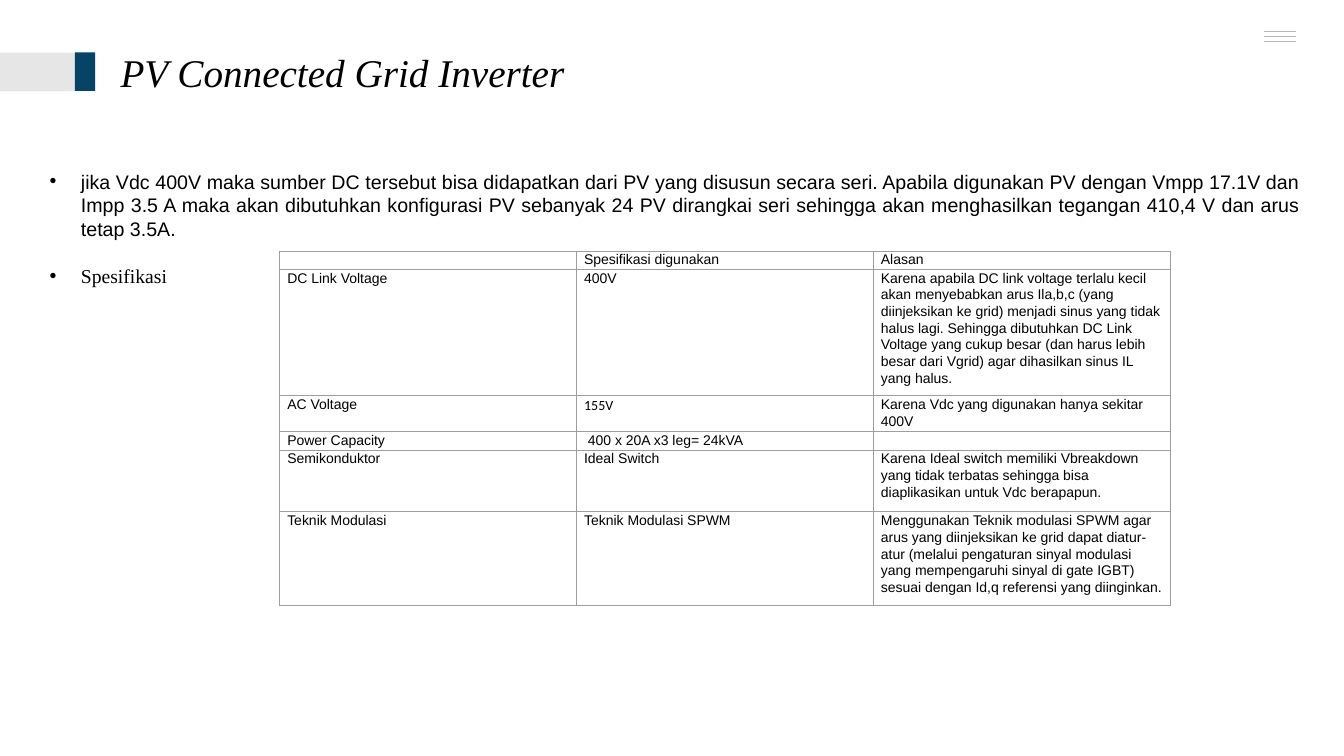
from lxml.etree import SubElement as Sub
from pptx import Presentation
from pptx.dml.color import RGBColor as Rgb
from pptx.enum.shapes import MSO_CONNECTOR as Link, MSO_SHAPE as Form
from pptx.enum.text import MSO_ANCHOR as Anchor, PP_ALIGN as Align
from pptx.oxml.ns import qn
from pptx.util import Cm, Pt

HUES = {"text": "000000", "grey": "E7E6E6", "navy": "074364",
        "menu": "B7B7B7", "edge": "9E9E9E"}
SERIF, SANS = "Times New Roman", "Arial"

INTRO = ("jika Vdc 400V maka sumber DC tersebut bisa didapatkan dari PV yang "
         "disusun secara seri. Apabila digunakan PV dengan Vmpp 17.1V dan "
         "Impp 3.5 A maka akan dibutuhkan konfigurasi PV sebanyak 24 PV "
         "dirangkai seri sehingga akan menghasilkan tegangan 410,4 V dan arus "
         "tetap 3.5A.")

# Row height in cm, then the three cells
ROWS = [
    (0.46, "", "Spesifikasi digunakan", "Alasan"),
    (3.18, "DC Link Voltage", "400V",
     "Karena apabila DC link voltage terlalu kecil akan menyebabkan arus "
     "Ila,b,c (yang diinjeksikan ke grid) menjadi sinus yang tidak halus lagi. "
     "Sehingga dibutuhkan DC Link Voltage yang cukup besar (dan harus lebih "
     "besar dari Vgrid) agar dihasilkan sinus IL yang halus."),
    (0.91, "AC Voltage", "155V",
     "Karena Vdc yang digunakan hanya sekitar 400V"),
    (0.46, "Power Capacity", " 400 x 20A x3 leg= 24kVA", ""),
    (1.56, "Semikonduktor", "Ideal Switch",
     "Karena Ideal switch memiliki Vbreakdown yang tidak terbatas sehingga "
     "bisa diaplikasikan untuk Vdc berapapun."),
    (2.36, "Teknik Modulasi", "Teknik Modulasi SPWM",
     "Menggunakan Teknik modulasi SPWM agar arus yang diinjeksikan ke grid "
     "dapat diatur-atur (melalui pengaturan sinyal modulasi yang mempengaruhi "
     "sinyal di gate IGBT) sesuai dengan Id,q referensi yang diinginkan."),
]


def apply(item, form):
    for name, value in form.items():
        setattr(item, name, value)


def pads(side, top):
    return {"margin_left": Cm(side), "margin_right": Cm(side),
            "margin_top": Cm(top), "margin_bottom": Cm(top)}


class Deck:
    def __init__(self):
        self.show = Presentation()
        apply(self.show, {"slide_width": Cm(33.87), "slide_height": Cm(19.05)})
        self.slide = self.show.slides.add_slide(self.show.slide_layouts[6])
        self.shapes = self.slide.shapes

    def line(self, x1, y1, x2, y2, hue):
        link = self.shapes.add_connector(
            Link.STRAIGHT, Cm(x1), Cm(y1), Cm(x2), Cm(y2))
        link.line.color.rgb = Rgb.from_string(HUES[hue])
        link.line.width = Pt(0.75)
        Sub(link._element.spPr, qn("a:effectLst"))

    def block(self, x, y, wide, high, hue):
        box = self.shapes.add_shape(
            Form.RECTANGLE, Cm(x), Cm(y), Cm(wide), Cm(high))
        box.shadow.inherit = False
        box.fill.solid()
        box.fill.fore_color.rgb = Rgb.from_string(HUES[hue])
        box.line.fill.background()

    def frame(self, x, y, wide, high, pad, anchor):
        frame = self.shapes.add_textbox(
            Cm(x), Cm(y), Cm(wide), Cm(high)).text_frame
        apply(frame, {"word_wrap": True, "vertical_anchor": anchor,
                      **pads(pad, pad)})
        return frame

    def label(self, para, text, font, size, **form):
        run = para.add_run()
        run.text = text
        apply(run.font, {"name": font, "size": Pt(size), **form})
        run.font.color.rgb = Rgb.from_string(HUES["text"])

    def bullet(self, para, text, font, **form):
        props = para._p.get_or_add_pPr()
        props.set("marL", str(Cm(0.94)))
        props.set("indent", str(-Cm(0.79)))
        Sub(props, qn("a:buFont"), typeface=SANS)
        Sub(props, qn("a:buChar"), char="•")
        apply(para, {"alignment": Align.JUSTIFY, **form})
        self.label(para, text, font, 14)

    def cell(self, cell, text):
        props = cell._tc.get_or_add_tcPr()
        for side in "LRTB":
            edge = Sub(props, qn(f"a:ln{side}"), w=str(Pt(0.75)))
            fill = Sub(edge, qn("a:solidFill"))
            Sub(fill, qn("a:srgbClr"), val=HUES["edge"])
        cell.fill.background()
        apply(cell, pads(0.19, 0))
        para = cell.text_frame.paragraphs[0]
        apply(para, {"line_spacing": 1.07, "space_after": Pt(8)})
        if text:
            self.label(para, text, "Calibri" if text == "155V" else SANS, 10)
        else:
            Sub(para._p, qn("a:endParaRPr"), sz="1000")

    def table(self, x, y, wide, rows):
        high = sum(row[0] for row in rows)
        grid = self.shapes.add_table(
            len(rows), 3, Cm(x), Cm(y), Cm(wide), Cm(high)).table
        apply(grid, {"first_row": False, "horz_banding": False})
        for col in grid.columns:
            col.width = Cm(wide / 3)
        for r, (tall, *texts) in enumerate(rows):
            grid.rows[r].height = Cm(tall)
            for c, text in enumerate(texts):
                self.cell(grid.cell(r, c), text)


def main():
    deck = Deck()

    # Menu mark and title bar
    for i in range(3):
        y = 0.8 + i * 0.12
        deck.line(31.85, y, 32.65, y, "menu")
    deck.block(0, 1.33, 2.4, 0.97, "grey")
    deck.block(1.89, 1.32, 0.51, 0.97, "navy")

    # Title
    title = deck.frame(2.7, 0.81, 28.47, 1.98, 0.34, Anchor.MIDDLE)
    deck.label(title.paragraphs[0], "PV Connected Grid Inverter", SERIF, 28,
               italic=True)

    # Body points
    body = deck.frame(0.85, 4.02, 32.18, 11.9, 0.25, Anchor.TOP)
    deck.bullet(body.paragraphs[0], INTRO, SANS)
    deck.bullet(body.add_paragraph(), "Spesifikasi", SERIF,
                space_before=Pt(17))

    # Specification table
    deck.table(7.05, 6.33, 22.44, ROWS)

    deck.show.save("out.pptx")


if __name__ == "__main__":
    main()
